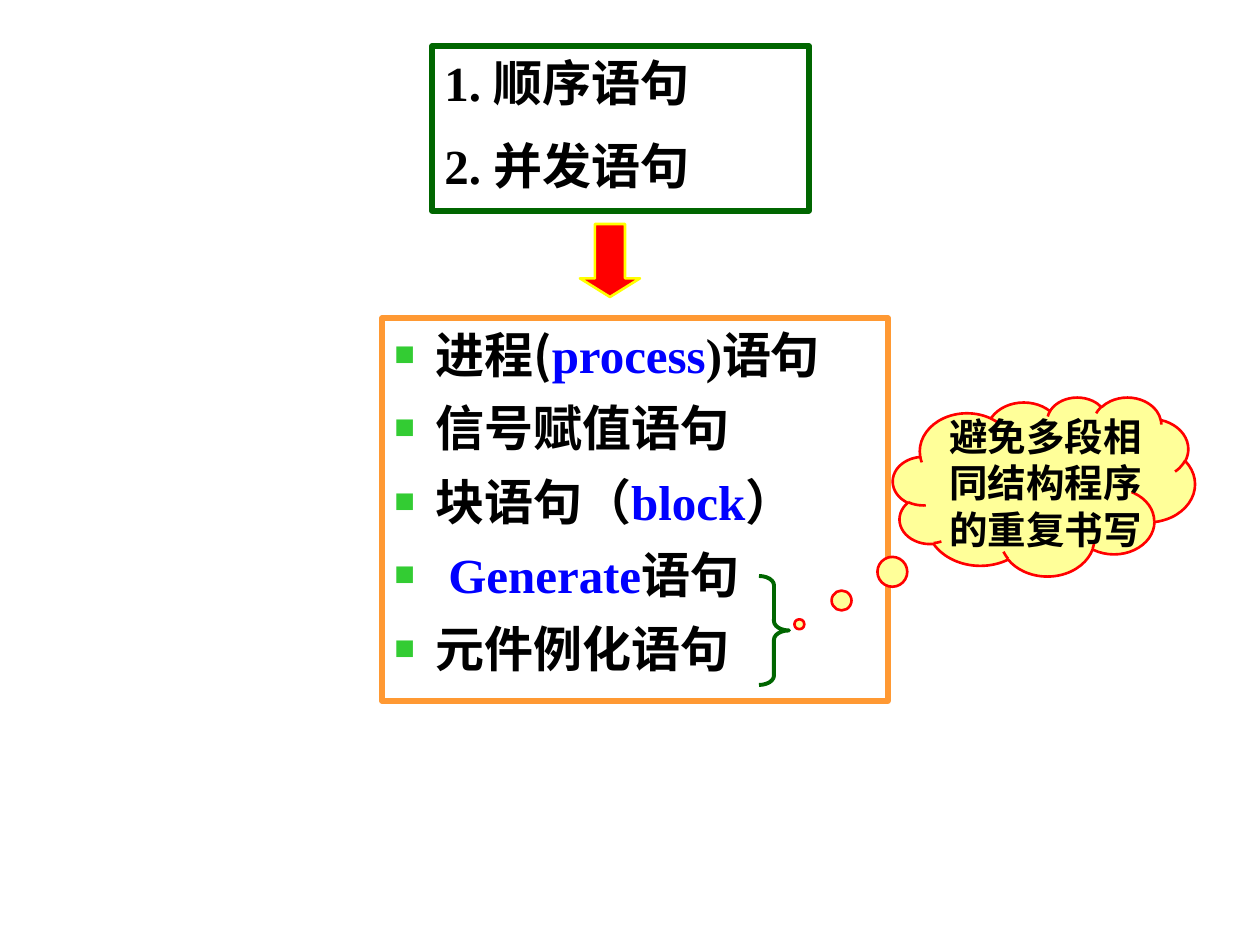
from lxml import etree
from pptx import Presentation
from pptx.dml.color import RGBColor
from pptx.enum.shapes import MSO_SHAPE
from pptx.enum.text import MSO_ANCHOR, PP_ALIGN
from pptx.oxml.ns import qn
from pptx.util import Emu, Pt

PX = 914400 / 126
CJK, LATIN = "Noto Sans CJK SC", "Times New Roman"
BLACK = RGBColor(0x00, 0x00, 0x00)
WHITE = RGBColor(0xFF, 0xFF, 0xFF)
BLUE = RGBColor(0x00, 0x00, 0xFF)
RED = RGBColor(0xFF, 0x00, 0x00)
YELLOW = RGBColor(0xFF, 0xFF, 0x00)
CREAM = RGBColor(0xFF, 0xFF, 0x99)
ORANGE = RGBColor(0xFF, 0x99, 0x33)
GREEN = RGBColor(0x00, 0x66, 0x00)
LIME = RGBColor(0x33, 0xCC, 0x33)


def px(n):
    return Emu(round(n * PX))


class SlideBuilder:
    frame_format = {"word_wrap": True, "vertical_anchor": MSO_ANCHOR.TOP}

    def __init__(self, s):
        self.s = s

    def shape(self, kind, box, line, width, fill=None, adjust=()):
        sp = self.s.shapes.add_shape(kind, *map(px, box))
        sp.shadow.inherit = False
        if fill is None:
            sp.fill.background()
        else:
            sp.fill.solid()
            sp.fill.fore_color.rgb = fill
        sp.line.color.rgb = line
        sp.line.width = Pt(width)
        for i, value in enumerate(adjust):
            sp.adjustments[i] = value
        return sp

    def textbox(self, box):
        return self.s.shapes.add_textbox(*map(px, box))

    def text(self, sp, paragraphs, size, gap=0, indents=None):
        tf = sp.text_frame
        for name, value in self.frame_format.items():
            setattr(tf, name, value)
        for i, runs in enumerate(paragraphs):
            p = tf.paragraphs[0] if i == 0 else tf.add_paragraph()
            if indents:
                self.bullet(p, indents[i])
            p.alignment = PP_ALIGN.LEFT
            p.space_before = Pt(gap if i else 0)
            for words, font, color in runs:
                self.run(p, words, font, color, size)

    def run(self, p, words, font, color, size):
        r = p.add_run()
        r.text = words
        for name, value in {"name": font, "size": Pt(size), "bold": True}.items():
            setattr(r.font, name, value)
        r.font.color.rgb = color
        ea = etree.SubElement(r.font._element, qn("a:ea"))
        ea.set("typeface", CJK)

    def bullet(self, p, indent):
        pPr = p._p.get_or_add_pPr()
        pPr.set("marL", str(px(indent)))
        pPr.set("indent", str(px(-indent)))
        color = etree.SubElement(pPr, qn("a:buClr"))
        etree.SubElement(color, qn("a:srgbClr")).set("val", str(LIME))
        for tag, key, value in (("a:buSzPct", "val", "70000"),
                                ("a:buFont", "typeface", LATIN),
                                ("a:buChar", "char", "■")):
            etree.SubElement(pPr, qn(tag)).set(key, value)


def main():
    prs = Presentation()
    prs.slide_width, prs.slide_height = px(1260), px(945)
    b = SlideBuilder(prs.slides.add_slide(prs.slide_layouts[6]))

    # Concurrent statements
    sp = b.shape(MSO_SHAPE.RECTANGLE, (382, 318, 506, 383), ORANGE, 3, WHITE)
    statements = [
        [("进程(", CJK, BLACK), ("process", LATIN, BLUE),
         (")", LATIN, BLACK), ("语句", CJK, BLACK)],
        [("信号赋值语句", CJK, BLACK)],
        [("块语句（", CJK, BLACK), ("block", LATIN, BLUE), ("）", CJK, BLACK)],
        [("Generate", LATIN, BLUE), ("语句", CJK, BLACK)],
        [("元件例化语句", CJK, BLACK)],
    ]
    b.text(sp, statements, 28, 8.4, indents=(41, 41, 41, 54, 41))

    # Brace and thought cloud
    b.shape(MSO_SHAPE.RIGHT_BRACE, (759, 576, 30, 109), GREEN, 2.25,
            adjust=(0.31, 0.5))
    b.shape(MSO_SHAPE.CLOUD_CALLOUT, (893, 397, 302, 179), RED, 1.5, CREAM,
            adjust=(-0.81, 0.77))
    note = b.textbox((937, 407, 248, 151))
    b.text(note, [[("避免多段相同结构程序的重复书写", CJK, BLACK)]], 22)

    # Statement kinds
    sp = b.shape(MSO_SHAPE.RECTANGLE, (432, 46, 377, 165), GREEN, 3, WHITE)
    kinds = [[(f"{n}. ", LATIN, BLACK), (words, CJK, BLACK)]
             for n, words in enumerate(("顺序语句", "并发语句"), 1)]
    b.text(sp, kinds, 28, 14)

    # Arrow between the boxes
    b.shape(MSO_SHAPE.DOWN_ARROW, (580, 224, 60, 73), YELLOW, 1.5, RED,
            adjust=(0.5, 0.31))

    prs.save("out.pptx")


if __name__ == "__main__":
    main()
